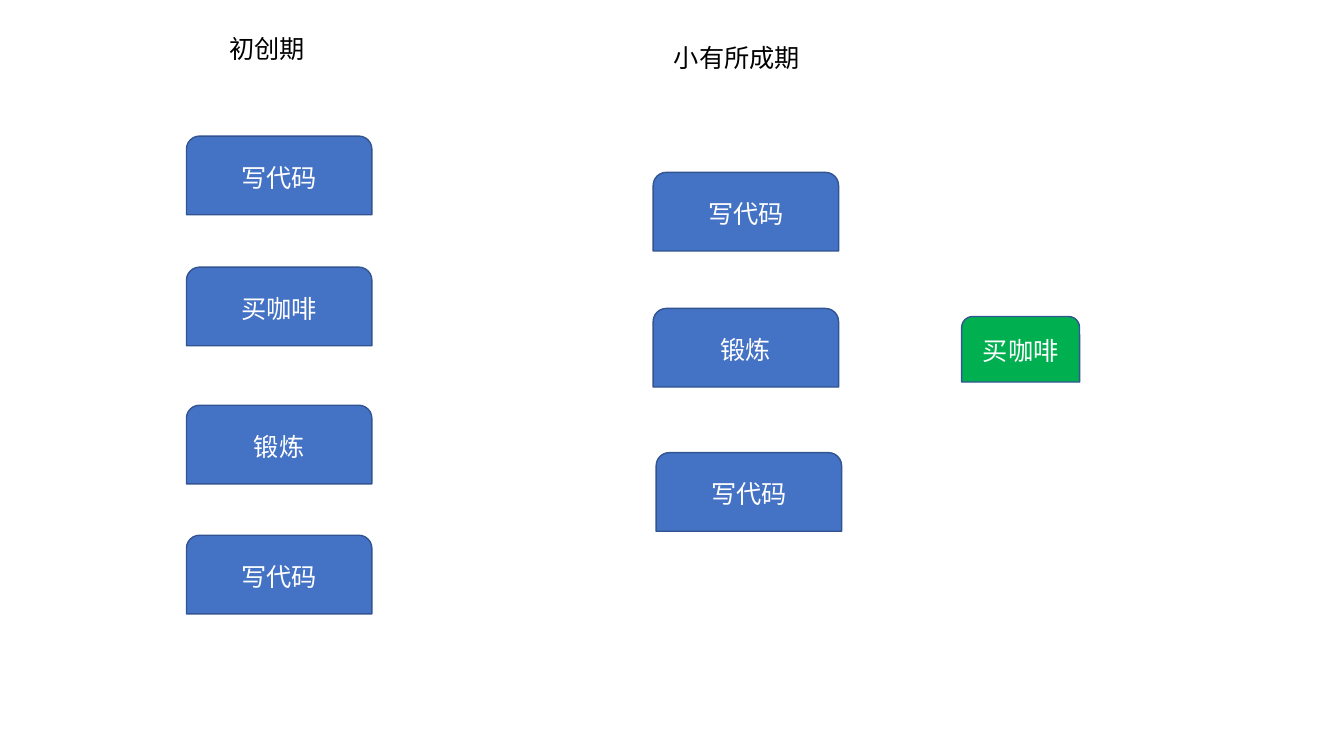
from dataclasses import dataclass

from lxml.etree import SubElement
from pptx import Presentation
from pptx.dml.color import RGBColor
from pptx.enum.shapes import MSO_SHAPE as Preset
from pptx.enum.text import MSO_ANCHOR as Anchor, MSO_AUTO_SIZE as AutoSize, PP_ALIGN as Align
from pptx.oxml.ns import qn
from pptx.slide import Slide
from pptx.util import Inches, Pt

BLUE = RGBColor(0x44, 0x72, 0xC4)
GREEN = RGBColor(0x00, 0xB0, 0x50)
OUTLINE = RGBColor(0x32, 0x54, 0x91)
WHITE = RGBColor(0xFF, 0xFF, 0xFF)
BLACK = RGBColor(0x00, 0x00, 0x00)

COLUMNS, ROWS = 160, 90
TASK_SIZE = (22.08, 9.36)
SIDE_TASK_SIZE = (14.04, 7.8)

# Task, left column, top row
STARTUP_TASKS = [
    ("写代码", 22.2, 16.2),
    ("买咖啡", 22.2, 31.8),
    ("锻炼", 22.2, 48.24),
    ("写代码", 22.2, 63.72),
]
GROWTH_TASKS = [
    ("写代码", 77.76, 20.52),
    ("锻炼", 77.76, 36.72),
    ("写代码", 78.12, 53.88),
]


@dataclass
class Board:
    """Draws on one slide; all lengths are grid columns and rows."""
    slide: Slide
    column: float
    row: float
    font: str = "Noto Sans CJK SC"
    size: int = 18

    def place(self, left, top, width, height):
        return [round(length) for length in (
            left * self.column, top * self.row, width * self.column, height * self.row)]

    def add_wording(self, frame, wording, color):
        paragraph = frame.paragraphs[0]
        paragraph.alignment = Align.CENTER
        run = paragraph.add_run()
        run.text = wording
        run.font.size = Pt(self.size)
        run.font.color.rgb = color
        run.font.name = self.font
        SubElement(run.font._element, qn("a:ea"), typeface=self.font)

    def heading(self, wording, left, top, width, height=4.8):
        label = self.slide.shapes.add_textbox(*self.place(left, top, width, height))
        frame = label.text_frame
        frame.word_wrap = False
        frame.auto_size = AutoSize.SHAPE_TO_FIT_TEXT
        self.add_wording(frame, wording, BLACK)

    def task(self, wording, left, top, size=TASK_SIZE, fill=BLUE):
        card = self.slide.shapes.add_shape(
            Preset.ROUND_2_SAME_RECTANGLE, *self.place(left, top, *size))
        card.shadow.inherit = False
        card.fill.solid()
        card.fill.fore_color.rgb = fill
        card.line.color.rgb = OUTLINE
        card.line.width = Pt(1)
        card.text_frame.vertical_anchor = Anchor.MIDDLE
        self.add_wording(card.text_frame, wording, WHITE)


def main():
    deck = Presentation()
    deck.slide_width, deck.slide_height = Inches(13.33), Inches(7.5)
    blank_layout = deck.slide_layouts[6]
    board = Board(deck.slides.add_slide(blank_layout),
                  deck.slide_width / COLUMNS, deck.slide_height / ROWS)

    board.heading("初创期", 26.04, 3.36, 11.52)
    board.heading("小有所成期", 78.96, 4.44, 17.52)
    for wording, left, top in STARTUP_TASKS + GROWTH_TASKS:
        board.task(wording, left, top)
    board.task("买咖啡", 114.48, 37.68, SIDE_TASK_SIZE, GREEN)

    deck.save("out.pptx")


if __name__ == "__main__":
    main()
